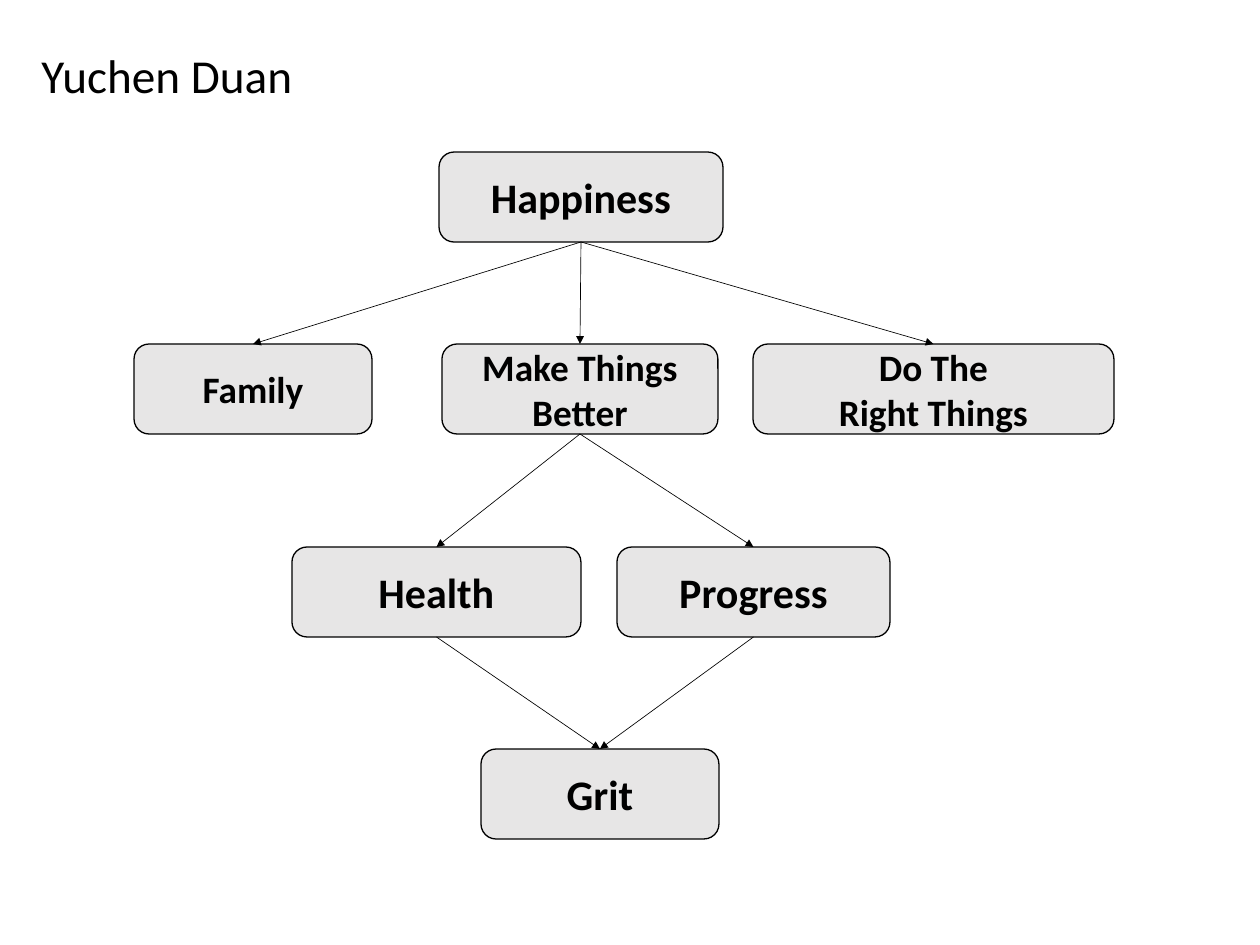
from lxml import etree
from pptx import Presentation
from pptx.dml.color import RGBColor
from pptx.enum.shapes import MSO_CONNECTOR, MSO_SHAPE
from pptx.enum.text import MSO_ANCHOR, MSO_AUTO_SIZE, PP_ALIGN
from pptx.oxml.ns import qn
from pptx.util import Pt

ROUNDED, STRAIGHT = MSO_SHAPE.ROUNDED_RECTANGLE, MSO_CONNECTOR.STRAIGHT
LEFT, CENTER, MIDDLE = PP_ALIGN.LEFT, PP_ALIGN.CENTER, MSO_ANCHOR.MIDDLE
TOP_SITE, BOTTOM_SITE = 0, 2

# Content: each row of values is (top, text size, [(label, left, width)])
AUTHOR = "Yuchen Duan"
ROWS = [
    (152, 32, [("Happiness", 439, 284)]),
    (344, 28.4, [("Family", 134, 238),
                 ("Make Things\nBetter", 442, 276),
                 ("Do The\nRight Things", 753, 361)]),
    (547, 32, [("Health", 292, 289), ("Progress", 617, 273)]),
    (749, 32, [("Grit", 481, 238)]),
]
LINKS = {
    "Happiness": ["Family", "Make Things\nBetter", "Do The\nRight Things"],
    "Make Things\nBetter": ["Health", "Progress"],
    "Health": ["Grit"],
    "Progress": ["Grit"],
}
BOX_HEIGHT = 90
COLORS = {"box": "E7E6E6", "ink": "000000"}
FONT = "Calibri"


def px(length):
    return round(length * 914400 / 94.5)


def color(name):
    return RGBColor.from_string(COLORS[name])


def write(shape, text, size, bold=False, align=CENTER):
    frame = shape.text_frame
    frame.text = text
    frame.word_wrap = True
    frame.auto_size = MSO_AUTO_SIZE.NONE
    frame.vertical_anchor = MIDDLE
    for paragraph in frame.paragraphs:
        paragraph.alignment = align
        font = paragraph.runs[0].font
        font.name, font.size, font.bold = FONT, Pt(size), bold
        font.color.rgb = color("ink")


def add_value(slide, label, left, top, width, size):
    value = slide.shapes.add_shape(
        ROUNDED, px(left), px(top), px(width), px(BOX_HEIGHT))
    value.shadow.inherit = False
    value.fill.solid()
    value.fill.fore_color.rgb = color("box")
    value.line.color.rgb = color("ink")
    value.line.width = Pt(1)
    write(value, label, size, bold=True)
    return value


def add_arrow(slide, parent, child):
    arrow = slide.shapes.add_connector(STRAIGHT, 0, 0, 0, 0)
    arrow.begin_connect(parent, BOTTOM_SITE)
    arrow.end_connect(child, TOP_SITE)
    arrow.line.color.rgb = color("ink")
    arrow.line.width = Pt(0.5)
    etree.SubElement(arrow.line._get_or_add_ln(), qn("a:tailEnd"), type="triangle")
    etree.SubElement(arrow._element.spPr, qn("a:effectLst"))


def main():
    deck = Presentation()
    deck.slide_width, deck.slide_height = px(1260), px(945)
    slide = deck.slides.add_slide(deck.slide_layouts[5])

    # Author heading
    heading = slide.shapes.title
    heading.left, heading.top = px(32), px(41)
    heading.width, heading.height = px(990), px(67)
    write(heading, AUTHOR, 36, align=LEFT)

    # Value boxes
    values = {
        label: add_value(slide, label, left, top, width, size)
        for top, size, row in ROWS
        for label, left, width in row
    }

    # Arrows from each value to those below it
    for parent, children in LINKS.items():
        for child in children:
            add_arrow(slide, values[parent], values[child])

    deck.save("out.pptx")


if __name__ == "__main__":
    main()
